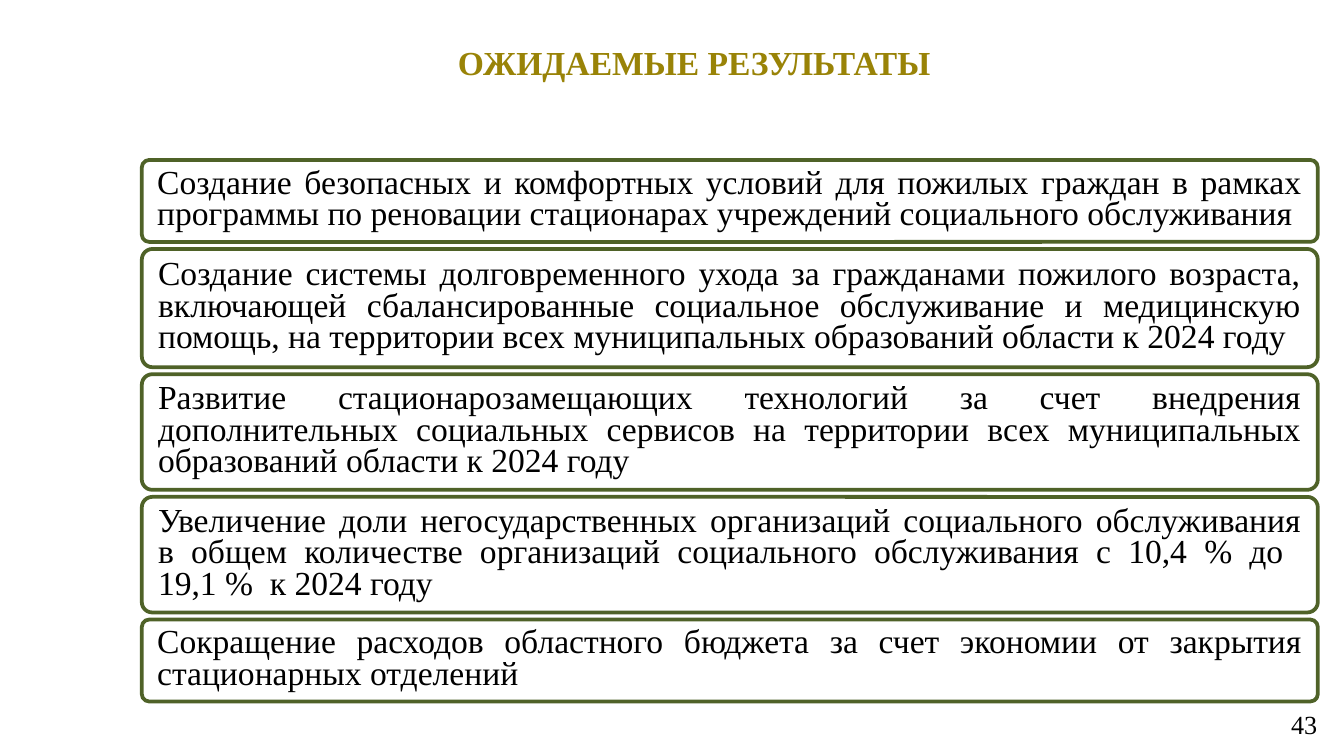
"""Build the slide of expected results."""
from dataclasses import dataclass

from pptx import Presentation
from pptx.dml.color import RGBColor
from pptx.enum.shapes import MSO_SHAPE
from pptx.enum.text import MSO_ANCHOR, MSO_AUTO_SIZE, PP_ALIGN
from pptx.util import Inches, Pt

ROUNDED = MSO_SHAPE.ROUNDED_RECTANGLE
TOP, MIDDLE = MSO_ANCHOR.TOP, MSO_ANCHOR.MIDDLE
GROW = MSO_AUTO_SIZE.SHAPE_TO_FIT_TEXT
CENTER, RIGHT, JUSTIFY = PP_ALIGN.CENTER, PP_ALIGN.RIGHT, PP_ALIGN.JUSTIFY
SLIDE_WIDTH = Inches(10)
SLIDE_HEIGHT = SLIDE_WIDTH * 9 // 16
COLUMNS = 1000
ROWS = COLUMNS * 9 / 16


@dataclass(frozen=True)
class Theme:
    """Colours, font and type sizes of the slide."""
    font: str = "Times New Roman"
    ink: str = "000000"
    gold: str = "998307"
    paper: str = "FFFFFF"
    border: str = "4F6228"
    border_width: float = 2
    text_size: float = 18
    number_size: float = 14
    title_spacing: float = 19
    card_spacing: float = 17
    corner: float = 0.09


@dataclass(frozen=True)
class Box:
    """A region in columns and rows of the slide grid."""
    left: float
    top: float
    width: float
    height: float

    def place(self, presentation):
        """Return left, top, width and height as slide lengths."""
        column = presentation.slide_width / COLUMNS
        row = presentation.slide_height / ROWS
        return (round(self.left * column), round(self.top * row),
                round(self.width * column), round(self.height * row))


THEME = Theme()
TITLE = " ОЖИДАЕМЫЕ РЕЗУЛЬТАТЫ "
NUMBER = "43"
TITLE_BOX = Box(109, 30, 815, 54)
CARDS_BOX = Box(105.5, 119, 875, 403)
NUMBER_BOX = Box(757, 524, 233, 30)
RESULTS = [
    (61, "Создание безопасных и комфортных условий для пожилых граждан в рамках "
         "программы по реновации стационарах учреждений социального обслуживания"),
    (88, "Создание системы долговременного ухода за гражданами пожилого возраста, "
         "включающей сбалансированные социальное обслуживание и медицинскую помощь, "
         "на территории всех муниципальных образований области к 2024 году "),
    (86, "Развитие стационарозамещающих технологий за счет внедрения дополнительных "
         "социальных сервисов на территории всех муниципальных образований области "
         "к 2024 году "),
    (86, "Увеличение доли негосударственных организаций социального обслуживания "
         "в общем количестве организаций социального обслуживания с 10,4 % до \n"
         "19,1 %  к 2024 году"),
    (61, "Сокращение расходов областного бюджета за счет экономии от закрытия "
         "стационарных отделений"),
]


def set_attributes(target, values):
    """Set each named value on the target."""
    for name, value in values.items():
        setattr(target, name, value)


def write(shape, text, align, anchor, color, size=THEME.text_size, bold=False, spacing=None):
    """Write one formatted paragraph into the shape."""
    set_attributes(shape.text_frame, {"word_wrap": True, "vertical_anchor": anchor})
    paragraph = shape.text_frame.paragraphs[0]
    paragraph.text = text
    set_attributes(paragraph, {"alignment": align, "line_spacing": spacing})
    for run in paragraph.runs:
        set_attributes(run.font, {"name": THEME.font, "size": Pt(size), "bold": bold})
        run.font.color.rgb = RGBColor.from_string(color)


def add_title(presentation, slide, box):
    """Add the centred heading."""
    shape = slide.shapes.add_textbox(*box.place(presentation))
    write(shape, TITLE, CENTER, TOP, THEME.gold, bold=True, spacing=Pt(THEME.title_spacing))


def add_card(presentation, slide, box, text):
    """Add one outlined result card."""
    shape = slide.shapes.add_shape(ROUNDED, *box.place(presentation))
    shape.shadow.inherit = False
    shape.adjustments[0] = THEME.corner
    shape.fill.solid()
    shape.fill.fore_color.rgb = RGBColor.from_string(THEME.paper)
    shape.line.color.rgb = RGBColor.from_string(THEME.border)
    shape.line.width = Pt(THEME.border_width)
    write(shape, text, JUSTIFY, MIDDLE, THEME.ink, spacing=Pt(THEME.card_spacing))
    shape.text_frame.auto_size = GROW


def add_cards(presentation, slide, box):
    """Stack the result cards with equal gaps."""
    gap = (box.height - sum(height for height, _ in RESULTS)) / (len(RESULTS) - 1)
    top = box.top
    for height, text in RESULTS:
        add_card(presentation, slide, Box(box.left, top, box.width, height), text)
        top += height + gap


def add_number(presentation, slide, box):
    """Add the slide number."""
    shape = slide.shapes.add_textbox(*box.place(presentation))
    write(shape, NUMBER, RIGHT, MIDDLE, THEME.ink, size=THEME.number_size)


def main():
    """Build and save the presentation."""
    presentation = Presentation()
    set_attributes(presentation, {"slide_width": SLIDE_WIDTH, "slide_height": SLIDE_HEIGHT})
    slide = presentation.slides.add_slide(presentation.slide_layouts[6])
    add_title(presentation, slide, TITLE_BOX)
    add_cards(presentation, slide, CARDS_BOX)
    add_number(presentation, slide, NUMBER_BOX)
    presentation.save("out.pptx")


if __name__ == "__main__":
    main()
